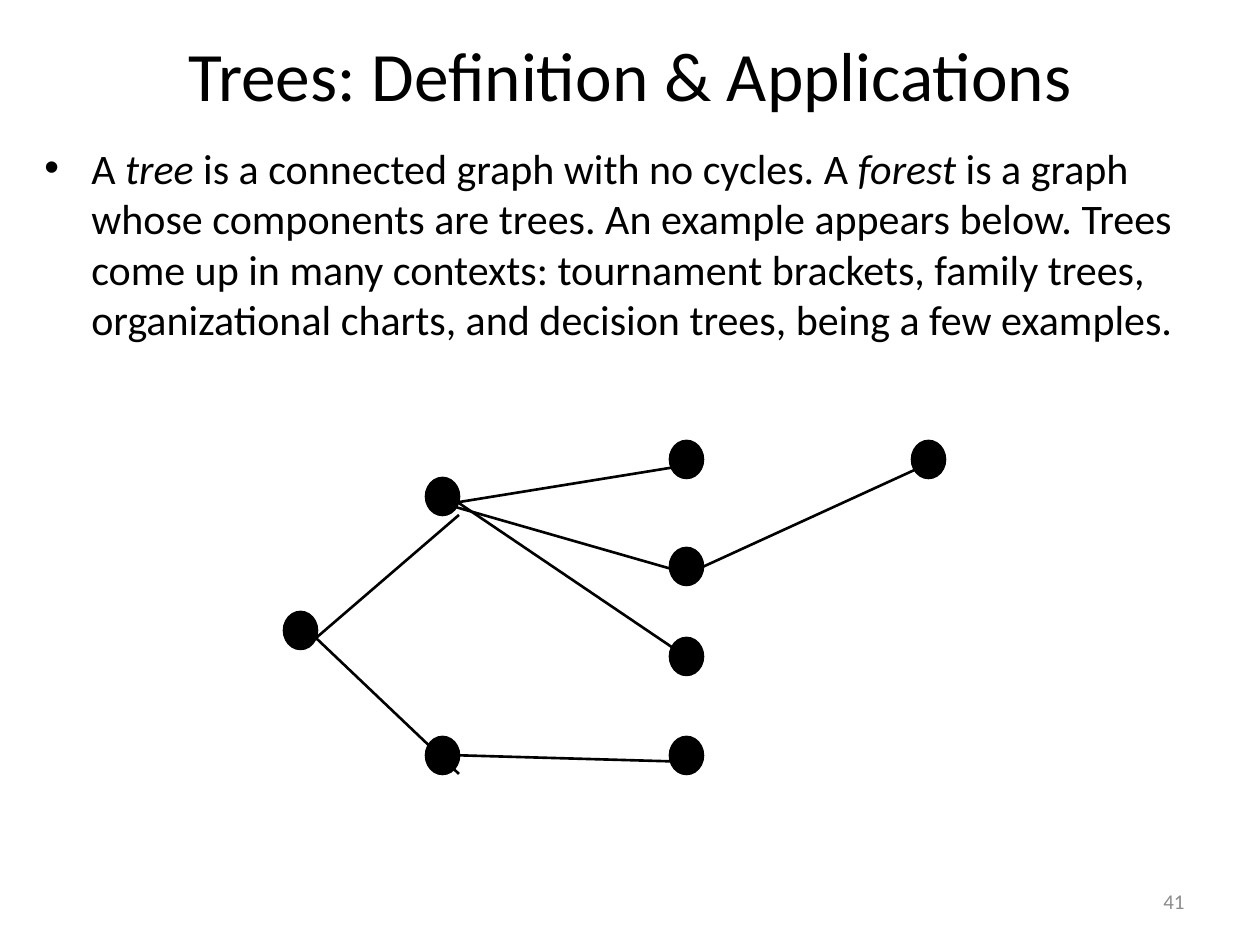
from lxml import etree
from pptx import Presentation
from pptx.dml.color import RGBColor
from pptx.enum.shapes import MSO_CONNECTOR, MSO_SHAPE
from pptx.enum.text import MSO_ANCHOR, PP_ALIGN
from pptx.oxml.ns import qn
from pptx.util import Emu, Pt

OVAL = MSO_SHAPE.OVAL
STRAIGHT = MSO_CONNECTOR.STRAIGHT
TOP, MIDDLE = MSO_ANCHOR.TOP, MSO_ANCHOR.MIDDLE
LEFT, CENTER, RIGHT = PP_ALIGN.LEFT, PP_ALIGN.CENTER, PP_ALIGN.RIGHT

PX_PER_INCH = 126
BLACK, GRAY = "000000", "8C8C8C"
FONT = "Calibri"
EDGE_WIDTH = Pt(1.5)
NODE_WIDTH, NODE_HEIGHT = 33, 37

# Tree levels from root to leaf: left edge, then the top of each node
LEVELS = [
    (284, [612]),
    (426, [478, 737]),
    (670, [441, 548, 638, 737]),
    (912, [441]),
]

# Edge ends: x1, y1, x2, y2
EDGES = [
    (316, 638, 459, 515),
    (316, 638, 459, 774),
    (447, 504, 682, 466),
    (445, 504, 682, 572),
    (441, 491, 682, 654),
    (447, 755, 692, 762),
    (696, 570, 932, 462),
]

# Wording and whether it is italic
DEFINITION = [
    ("A ", False),
    ("tree", True),
    (" is a connected graph with no cycles. A ", False),
    ("forest", True),
    (" is a graph whose components are trees. An example appears below. "
     "Trees come up in many contexts: tournament brackets, family trees, "
     "organizational charts, and decision trees, being a few examples.", False),
]


def px(length):
    return Emu(round(length * 914400 / PX_PER_INCH))


def color(hex_value):
    return RGBColor.from_string(hex_value)


def add_text(slide, box, runs, size, hex_value=BLACK, align=LEFT, anchor=MIDDLE):
    frame = slide.shapes.add_textbox(*map(px, box)).text_frame
    frame.word_wrap = True
    frame.vertical_anchor = anchor
    paragraph = frame.paragraphs[0]
    paragraph.alignment = align
    paragraph.font.name = FONT
    paragraph.font.size = Pt(size)
    paragraph.font.color.rgb = color(hex_value)
    for wording, italic in runs:
        run = paragraph.add_run()
        run.text = wording
        if italic:
            run.font.italic = True
    return paragraph


def add_bullet(paragraph, indent):
    properties = paragraph._p.get_or_add_pPr()
    properties.set("marL", str(px(indent)))
    properties.set("indent", str(-px(indent)))
    bullet_font = etree.Element(qn("a:buFont"), typeface="Arial")
    bullet = etree.Element(qn("a:buChar"), char="•")
    # Bullet marks come before the default run properties
    defaults = properties.find(qn("a:defRPr"))
    defaults.addprevious(bullet_font)
    defaults.addprevious(bullet)


def add_node(slide, left, top):
    node = slide.shapes.add_shape(
        OVAL, px(left), px(top), px(NODE_WIDTH), px(NODE_HEIGHT))
    node.shadow.inherit = False
    node.fill.solid()
    node.fill.fore_color.rgb = color(BLACK)
    node.line.color.rgb = color(BLACK)
    node.line.width = EDGE_WIDTH


def add_edge(slide, ends):
    edge = slide.shapes.add_connector(STRAIGHT, *map(px, ends))
    edge.line.color.rgb = color(BLACK)
    edge.line.width = EDGE_WIDTH
    etree.SubElement(edge._element.spPr, qn("a:effectLst"))


def main():
    deck = Presentation()
    deck.slide_width, deck.slide_height = px(1260), px(945)
    slide = deck.slides.add_slide(deck.slide_layouts[6])

    # Page number, title and definition
    add_text(slide, (903, 876, 294, 50), [("41", False)], 12, GRAY, RIGHT)
    add_text(slide, (32, 32, 1197, 84),
             [("Trees: Definition & Applications", False)], 39.6, align=CENTER)
    definition = add_text(slide, (32, 136, 1197, 725), DEFINITION, 24, anchor=TOP)
    definition.space_before = Pt(4.8)
    add_bullet(definition, 47)

    # Example tree
    for left, tops in LEVELS:
        for top in tops:
            add_node(slide, left, top)
    for ends in EDGES:
        add_edge(slide, ends)

    deck.save("out.pptx")


if __name__ == "__main__":
    main()
